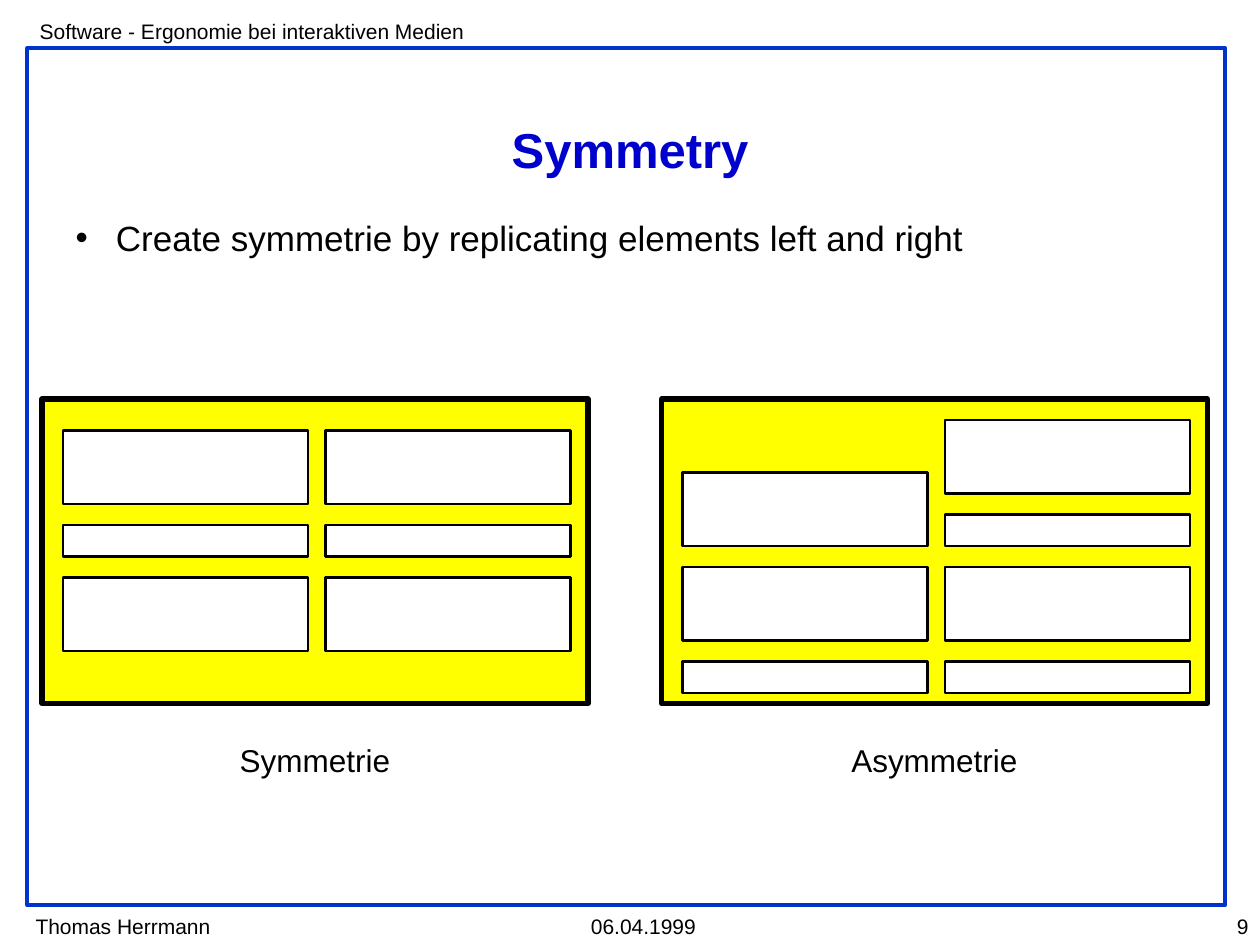
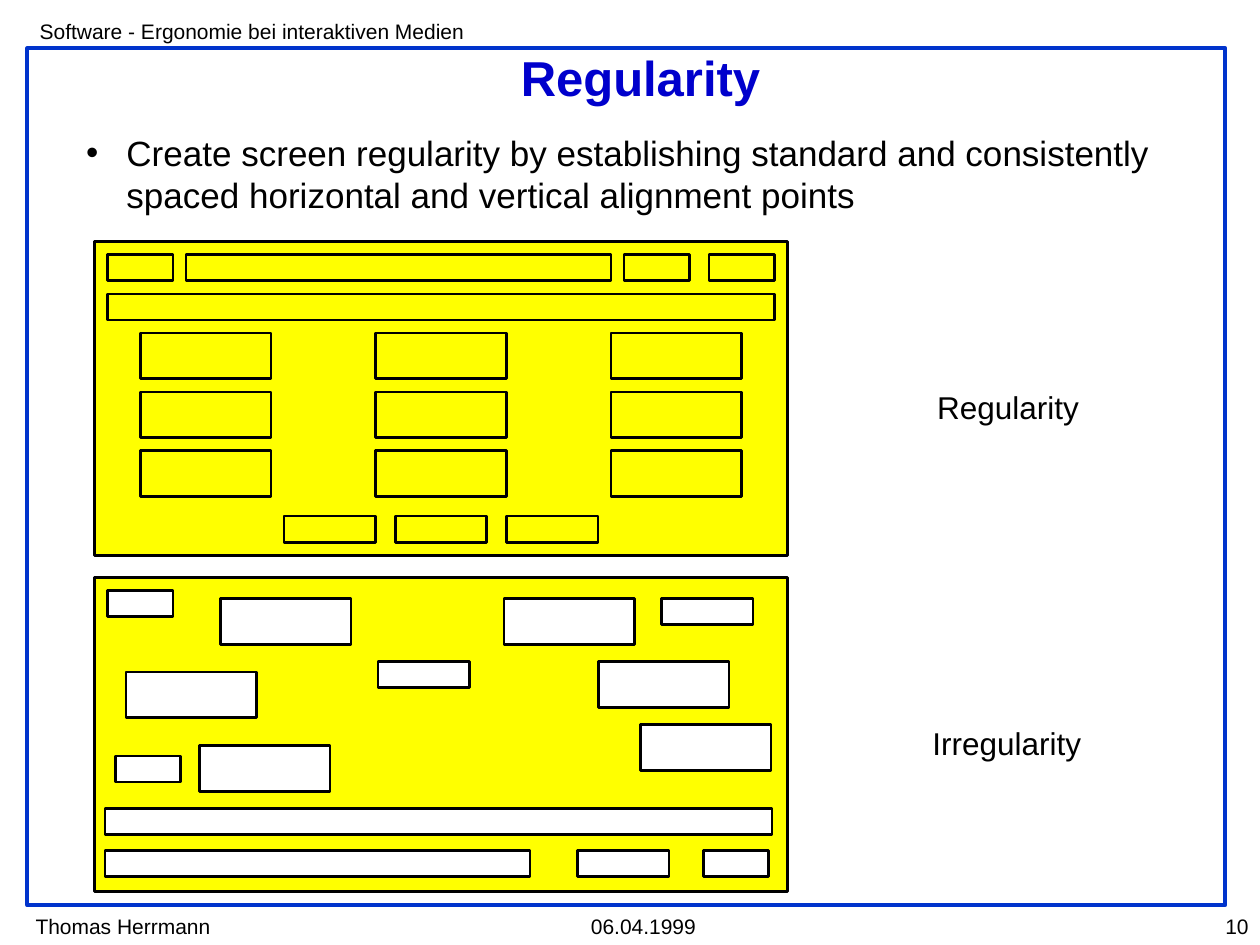
from dataclasses import dataclass
from typing import NamedTuple

import pptx
import pptx.dml.color
import pptx.enum.shapes
import pptx.enum.text
import pptx.oxml
import pptx.oxml.ns
import pptx.util
from pptx.enum.text import MSO_ANCHOR, PP_ALIGN


# Theme: colours, type sizes (points) and line widths (points)
@dataclass(frozen=True)
class Theme:
    font: str = "Arial"
    ink: str = "000000"
    title: str = "0000CC"
    frame: str = "0033CC"
    panel: str = "FFFF00"
    paper: str = "FFFFFF"
    title_size: int = 28
    body_size: int = 20
    caption_size: int = 18
    footer_size: int = 12
    frame_line: float = 2.25
    bold_line: float = 3
    thin_line: float = 1.5


THEME = Theme()

# The slide is a grid of 120 columns by 90 rows, twelve to the inch
COLUMNS, ROWS = 120, 90
CELL = pptx.util.Inches(10) // COLUMNS


class Box(NamedTuple):
    left: float
    top: float
    width: float
    height: float

    def emu(self) -> list[int]:
        return [round(length * CELL) for length in self]


class Label(NamedTuple):
    text: str
    box: Box
    align: PP_ALIGN = PP_ALIGN.LEFT


class Topic(NamedTuple):
    title: str
    title_box: Box
    advice: str
    advice_box: Box
    page: str


# Shared parts
FRAME = Box(2.6, 4.6, 114.1, 81.6)
FOOTER_TOP, FOOTER_HEIGHT = 86.4, 3.6
SHARED_LABELS = [
    Label("Thomas Herrmann", Box(2.2, FOOTER_TOP, 20, FOOTER_HEIGHT)),
    Label("Software - Ergonomie bei interaktiven Medien", Box(2.6, 1.2, 45, FOOTER_HEIGHT)),
    Label("06.04.1999", Box(55.1, FOOTER_TOP, 13, FOOTER_HEIGHT)),
]
PAGE_BOX = Box(108.6, FOOTER_TOP, 11.5, FOOTER_HEIGHT)

# Slide contents
SYMMETRY = Topic(
    "Symmetry", Box(6, 10.8, 108, 6.7),
    "Create symmetrie by replicating elements left and right",
    Box(6, 20, 108, 5.2), "9")
REGULARITY = Topic(
    "Regularity", Box(7, 4, 108, 6.7),
    "Create screen regularity by establishing standard and consistently "
    "spaced horizontal and vertical alignment points",
    Box(7, 12, 108, 9.1), "10")

# Symmetry: stacks of tall and flat fields in two columns of a panel
PANEL_TOP, PANEL_WIDTH, PANEL_HEIGHT = 38, 52, 29
FIELD_OFFSETS, FIELD_WIDTH, FIELD_GAP = (2, 27), 23.33, 2
TALL, FLAT = 7, 3

# Regularity: each screen is 53 by 24 units
SCREEN_LEFT, SCREEN_WIDTH = 9, 66
UNIT = SCREEN_WIDTH / 53
SMALL, BUTTON, BLOCK, WIDE, FULL = (5, 2), (7, 2), (10, 3.5), (32.5, 2), (51, 2)
REGULAR_PARTS = (
    [(1, 1, SMALL), (7, 1, WIDE), (40.5, 1, SMALL), (47, 1, SMALL), (1, 4, FULL)]
    + [(3.5 + 18 * column, 7 + 4.5 * row, BLOCK) for column in range(3) for row in range(3)]
    + [(14.5 + 8.5 * column, 21, BUTTON) for column in range(3)]
)
# Scattered parts sit on the slide grid
IRREGULAR_PARTS = [
    (10.25, 56.25, SMALL), (10, 81, WIDE), (11, 72, SMALL), (67, 81, SMALL),
    (10, 77, FULL), (12, 64, BLOCK), (19, 71, BLOCK), (21, 57, BLOCK),
    (48, 57, BLOCK), (57, 63, BLOCK), (61, 69, BLOCK), (36, 63, BUTTON),
    (63, 57, BUTTON), (55, 81, BUTTON),
]


# Drawing helpers
def rgb(code: str) -> pptx.dml.color.RGBColor:
    return pptx.dml.color.RGBColor.from_string(code)


def style(paragraph, size: int, color: str = THEME.ink, bold: bool = False) -> None:
    font = paragraph.font
    font.name, font.size, font.bold = THEME.font, pptx.util.Pt(size), bold
    font.color.rgb = rgb(color)


def add_rect(shapes, box: Box, fill: str | None, line: str = THEME.ink,
             weight: float = THEME.thin_line):
    rect = shapes.add_shape(pptx.enum.shapes.MSO_SHAPE.RECTANGLE, *box.emu())
    rect.shadow.inherit = False
    if fill is None:
        rect.fill.background()
    else:
        rect.fill.solid()
        rect.fill.fore_color.rgb = rgb(fill)
    rect.line.color.rgb = rgb(line)
    rect.line.width = pptx.util.Pt(weight)
    return rect


def add_label(shapes, label: Label, size: int = THEME.footer_size):
    textbox = shapes.add_textbox(*label.box.emu())
    frame = textbox.text_frame
    frame.word_wrap = True
    frame.text = label.text
    frame.paragraphs[0].alignment = label.align
    style(frame.paragraphs[0], size)
    return textbox


def add_caption(shapes, text: str, center: float, top: float) -> None:
    width = 18
    label = Label(text, Box(center - width / 2, top, width, 3.6), PP_ALIGN.CENTER)
    frame = add_label(shapes, label, THEME.caption_size).text_frame
    frame.margin_left = frame.margin_right = frame.margin_top = frame.margin_bottom = 0
    frame.vertical_anchor = MSO_ANCHOR.MIDDLE


def fill_placeholder(placeholder, text: str, box: Box):
    placeholder.left, placeholder.top, placeholder.width, placeholder.height = box.emu()
    frame = placeholder.text_frame
    frame.text = text
    frame.word_wrap = True
    frame.auto_size = pptx.enum.text.MSO_AUTO_SIZE.NONE
    frame.vertical_anchor = MSO_ANCHOR.MIDDLE
    paragraph = frame.paragraphs[0]
    paragraph.space_before = pptx.util.Pt(0)
    return paragraph


def add_bullet(paragraph) -> None:
    properties = paragraph._p.get_or_add_pPr()
    indent = round(0.32 * pptx.util.Inches(1))
    properties.set("marL", str(indent))
    properties.set("indent", str(-indent))
    namespace = pptx.oxml.ns.nsdecls("a")
    for xml in (f'<a:buClr {namespace}><a:srgbClr val="{THEME.ink}"/></a:buClr>',
                f'<a:buFont {namespace} typeface="{THEME.font}"/>',
                f'<a:buChar {namespace} char="•"/>'):
        properties.append(pptx.oxml.parse_xml(xml))


def share_on_layout(layout, slide) -> None:
    """Build the frame and running labels, then hand them to the layout."""
    for placeholder in list(layout.placeholders)[2:]:
        layout.shapes.element.remove(placeholder.element)
    shared = [add_rect(slide.shapes, FRAME, None, THEME.frame, THEME.frame_line)]
    shared += [add_label(slide.shapes, label) for label in SHARED_LABELS]
    for part in shared:
        layout.shapes.element.append(part.element)


def start_slide(slide, topic: Topic) -> None:
    add_label(slide.shapes, Label(topic.page, PAGE_BOX, PP_ALIGN.RIGHT))
    title = fill_placeholder(slide.shapes.title, topic.title, topic.title_box)
    title.alignment = PP_ALIGN.CENTER
    style(title, THEME.title_size, THEME.title, bold=True)
    advice = fill_placeholder(slide.placeholders[1], topic.advice, topic.advice_box)
    add_bullet(advice)
    style(advice, THEME.body_size)


# Diagrams
def draw_stacks(slide, left: float, caption: str,
                stacks: list[tuple[float, list[int]]]) -> None:
    shapes = slide.shapes.add_group_shape().shapes
    add_rect(shapes, Box(left, PANEL_TOP, PANEL_WIDTH, PANEL_HEIGHT),
             THEME.panel, weight=THEME.bold_line)
    for offset, (top, heights) in zip(FIELD_OFFSETS, stacks):
        for height in heights:
            add_rect(shapes, Box(left + offset, top, FIELD_WIDTH, height), THEME.paper)
            top += height + FIELD_GAP
    add_caption(shapes, caption, left + PANEL_WIDTH / 2, 70.6)


def draw_screen(slide, top: float, caption: str, center: float,
                parts: list[Box], fill: str) -> None:
    shapes = slide.shapes.add_group_shape().shapes
    add_rect(shapes, Box(SCREEN_LEFT, top, SCREEN_WIDTH, 24 * UNIT), THEME.panel)
    for part in parts:
        add_rect(shapes, part, fill)
    add_caption(shapes, caption, center, top + 14)


def main() -> None:
    deck = pptx.Presentation()
    deck.slide_width, deck.slide_height = COLUMNS * CELL, ROWS * CELL
    layout = deck.slide_layouts[1]

    # Symmetry
    symmetry = deck.slides.add_slide(layout)
    share_on_layout(layout, symmetry)
    start_slide(symmetry, SYMMETRY)
    draw_stacks(symmetry, 4, "Symmetrie", [(41, [TALL, FLAT, TALL])] * 2)
    draw_stacks(symmetry, 63, "Asymmetrie",
                [(45, [TALL, TALL, FLAT]), (40, [TALL, FLAT, TALL, FLAT])])

    # Regularity
    regularity = deck.slides.add_slide(layout)
    start_slide(regularity, REGULARITY)
    regular_top, irregular_top = 23, 55
    aligned = [Box(SCREEN_LEFT + x * UNIT, regular_top + y * UNIT, w * UNIT, h * UNIT)
               for x, y, (w, h) in REGULAR_PARTS]
    scattered = [Box(x, y, w * UNIT, h * UNIT) for x, y, (w, h) in IRREGULAR_PARTS]
    draw_screen(regularity, regular_top, "Regularity", 96, aligned, THEME.panel)
    draw_screen(regularity, irregular_top, "Irregularity", 95.9, scattered, THEME.paper)

    deck.save("out.pptx")


if __name__ == "__main__":
    main()
